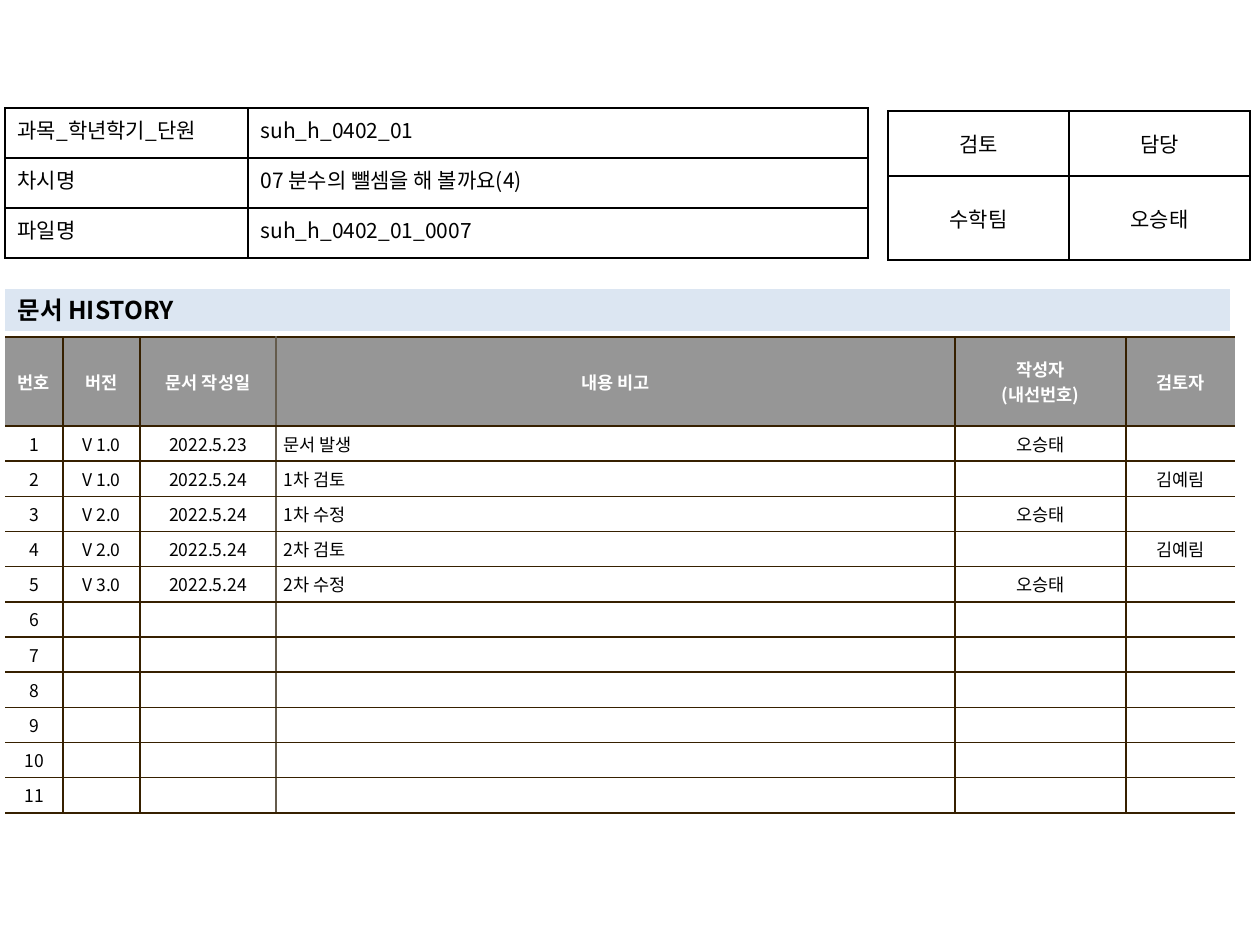
from lxml import etree
from pptx import Presentation
from pptx.dml.color import RGBColor
from pptx.enum.text import MSO_ANCHOR, MSO_AUTO_SIZE, PP_ALIGN
from pptx.oxml.ns import qn
from pptx.util import Pt

LEFT, MID, JUST = PP_ALIGN.LEFT, PP_ALIGN.CENTER, PP_ALIGN.JUSTIFY
TOP, CENTER = MSO_ANCHOR.TOP, MSO_ANCHOR.MIDDLE
FIXED = MSO_AUTO_SIZE.NONE
FONT = "Noto Sans CJK KR"
BLACK, WHITE, GREY, BLUE = "000000", "FFFFFF", "969696", "DCE6F2"
BROWN, TAUPE = "362000", "645B4C"

INFO = [
    ("과목_학년학기_단원", "suh_h_0402_01"),
    ("차시명", "07 분수의 뺄셈을 해 볼까요(4)"),
    ("파일명", "suh_h_0402_01_0007"),
]
REVIEW = [("검토", "담당"), ("수학팀", "오승태")]
HEAD = ("번호", "버전", "문서 작성일", "내용 비고", "작성자\n(내선번호)", "검토자")
EDITS = [
    ("V 1.0", "2022.5.23", "문서 발생", "오승태", ""),
    ("V 1.0", "2022.5.24", "1차 검토", "", "김예림"),
    ("V 2.0", "2022.5.24", "1차 수정", "오승태", ""),
    ("V 2.0", "2022.5.24", "2차 검토", "", "김예림"),
    ("V 3.0", "2022.5.24", "2차 수정", "오승태", ""),
]
COUNT = 11


def px(n):
    return round(n * 914400 / 126)


def rgb(code):
    return RGBColor.from_string(code)


def write(frame, text, size, align, color=BLACK, bold=False):
    frame.text = text
    for para in frame.paragraphs:
        para.alignment = align
        font = para.font
        font.size, font.bold, font.name = Pt(size), bold, FONT
        font.color.rgb = rgb(color)
        etree.SubElement(font._element, qn("a:ea"), typeface=FONT)
        if not text:
            etree.SubElement(para._p, qn("a:endParaRPr"), sz=str(size * 100))


def border(cell, left, right, top, bottom):
    props = cell._tc.get_or_add_tcPr()
    for side, color in zip("LRTB", (left, right, top, bottom)):
        line = etree.SubElement(props, qn(f"a:ln{side}"), w=str(Pt(1)))
        if color:
            fill = etree.SubElement(line, qn("a:solidFill"))
            etree.SubElement(fill, qn("a:srgbClr"), val=color)
        else:
            etree.SubElement(line, qn("a:noFill"))


def grid(slide, x, y, cols, rows):
    box = map(px, (x, y, sum(cols), sum(rows)))
    table = slide.shapes.add_table(len(rows), len(cols), *box).table
    table.first_row = table.horz_banding = False
    for col, width in zip(table.columns, cols):
        col.width = px(width)
    for row, height in zip(table.rows, rows):
        row.height = px(height)
    return table


def form(slide, x, y, cols, rows, data, aligns, anchor):
    table = grid(slide, x, y, cols, rows)
    for r, line in enumerate(data):
        for c, text in enumerate(line):
            cell = table.cell(r, c)
            border(cell, BLACK, BLACK, BLACK, BLACK)
            cell.fill.background()
            cell.vertical_anchor = anchor
            write(cell.text_frame, text, 12, aligns[c])


def banner(slide, x, y, width, height):
    title = slide.shapes.title
    title.left, title.top, title.width, title.height = map(px, (x, y, width, height))
    title.fill.solid()
    title.fill.fore_color.rgb = rgb(BLUE)
    frame = title.text_frame
    frame.auto_size, frame.word_wrap = FIXED, True
    frame.vertical_anchor = CENTER
    write(frame, "문서 HISTORY", 14, LEFT, bold=True)


def history(slide, x, y, cols, head, step):
    table = grid(slide, x, y, cols, [head] + [step] * COUNT)
    blank = ("",) * len(EDITS[0])
    edits = EDITS + [blank] * (COUNT - len(EDITS))
    data = [HEAD] + [(str(n), *edit) for n, edit in enumerate(edits, 1)]
    edges = [None, BROWN, BROWN, TAUPE, BROWN, BROWN, None]
    for r, line in enumerate(data):
        for c, text in enumerate(line):
            cell = table.cell(r, c)
            border(cell, edges[c], edges[c + 1], BROWN, BROWN)
            cell.fill.solid()
            cell.fill.fore_color.rgb = rgb(WHITE if r else GREY)
            cell.vertical_anchor = CENTER
            cell.margin_left = cell.margin_right = px(8)
            cell.margin_top = cell.margin_bottom = px(5)
            align = LEFT if r and c == 3 else MID
            write(cell.text_frame, text, 10, align, BLACK if r else WHITE, r == 0)


def main():
    deck = Presentation()
    deck.slide_width, deck.slide_height = px(1260), px(945)
    slide = deck.slides.add_slide(deck.slide_layouts[5])
    history(slide, 5, 337, [58, 77, 136, 679, 171, 109], 89, 35)
    form(slide, 888, 111, [181, 181], [65, 84], REVIEW, (MID, MID), CENTER)
    banner(slide, 5, 289, 1225, 42)
    form(slide, 5, 108, [243, 620], [50] * 3, INFO, (JUST, LEFT), TOP)
    deck.save("out.pptx")


if __name__ == "__main__":
    main()
